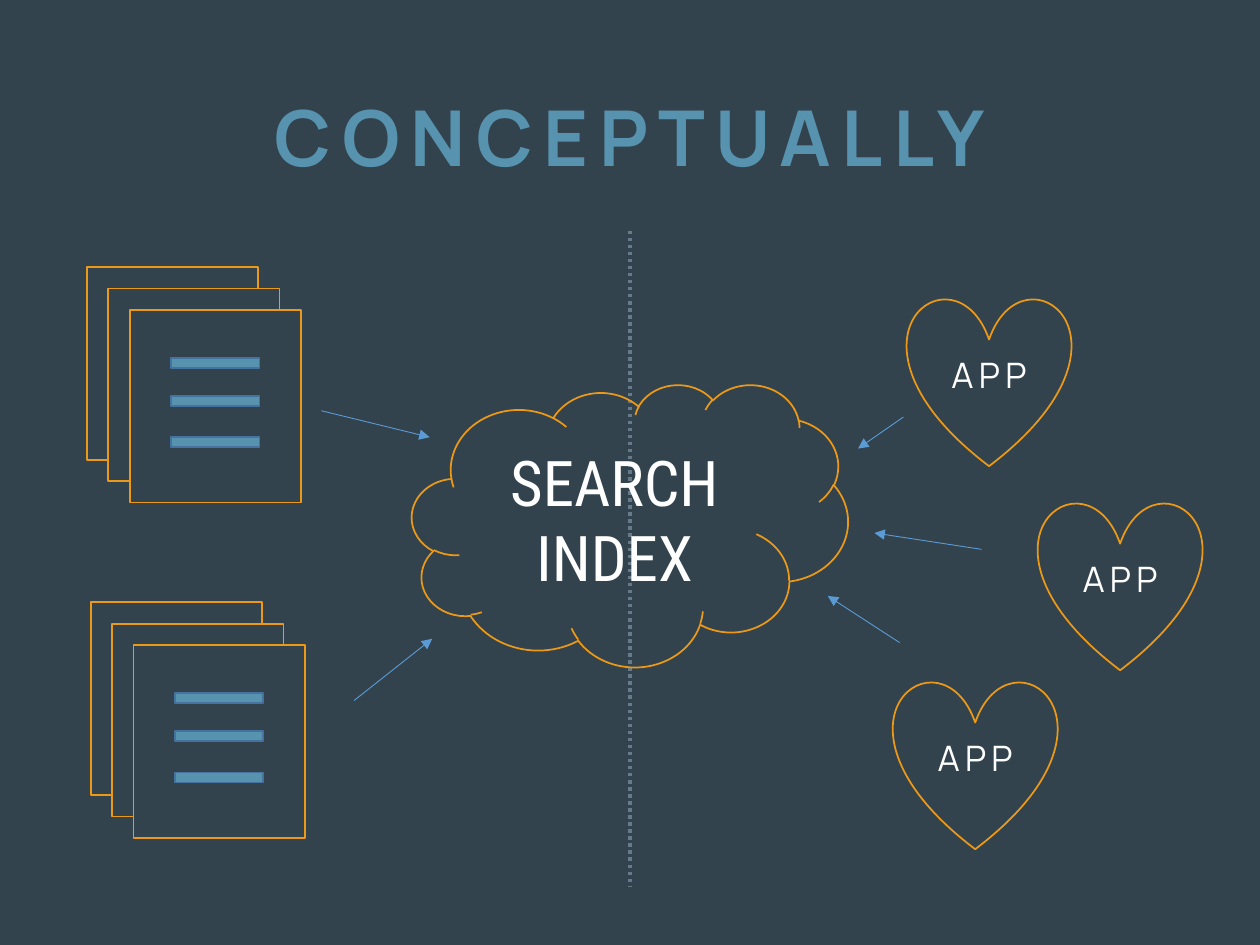
from lxml import etree
from pptx import Presentation
from pptx.dml.color import RGBColor
from pptx.enum.dml import MSO_LINE
from pptx.enum.shapes import MSO_CONNECTOR, MSO_SHAPE
from pptx.enum.text import MSO_ANCHOR, PP_ALIGN
from pptx.oxml.ns import qn
from pptx.util import Inches, Pt

STRAIGHT = MSO_CONNECTOR.STRAIGHT
DOTTED = MSO_LINE.ROUND_DOT
RECTANGLE, CLOUD, HEART = MSO_SHAPE.RECTANGLE, MSO_SHAPE.CLOUD, MSO_SHAPE.HEART
MIDDLE, CENTER = MSO_ANCHOR.MIDDLE, PP_ALIGN.CENTER

BACKGROUND = RGBColor(0x32, 0x43, 0x4E)
TEAL = RGBColor(0x57, 0x92, 0xAE)
TEAL_EDGE = RGBColor(0x43, 0x73, 0x9E)
ORANGE = RGBColor(0xEC, 0x99, 0x17)
GRAY = RGBColor(0x66, 0x7A, 0x89)
BLUE = RGBColor(0x5B, 0x9B, 0xD5)
WHITE = RGBColor(0xFF, 0xFF, 0xFF)

PAGE_STEP = 0.17
TEXT_LINES = [(0.67, 0.72), (0.67, 1.02), (0.67, 1.35)]
STACKS = [(0.69, 2.12), (0.72, 4.78)]
HEARTS = [(7.2, 2.36), (8.24, 3.98), (7.09, 5.4)]
ARROWS = [
    ((2.81, 5.56), (3.43, 5.07)),
    ((2.55, 3.26), (3.41, 3.47)),
    ((7.14, 5.1), (6.57, 4.73)),
    ((7.79, 4.36), (6.94, 4.23)),
    ((7.17, 3.31), (6.81, 3.56)),
]


def set_text(shape, text, font_name, size, color, bold=False, spacing=0):
    """Write one centred line; spacing is the gap between letters in points."""
    frame = shape.text_frame
    frame.text = text
    frame.vertical_anchor = MIDDLE
    paragraph = frame.paragraphs[0]
    paragraph.alignment = CENTER
    run = paragraph.runs[0]
    run.font.name = font_name
    run.font.size = Pt(size)
    run.font.bold = bold
    run.font.color.rgb = color
    if spacing:
        run._r.get_or_add_rPr().set("spc", str(spacing * 100))


def add_title(slide, text):
    title = slide.shapes.title
    title.left, title.top = Inches(0.69), Inches(0.4)
    title.width, title.height = Inches(8.62), Inches(1.45)
    set_text(title, text, "Manrope", 44, TEAL, bold=True, spacing=6)
    title.text_frame.paragraphs[0].line_spacing = 0.9


def add_outlined_shape(shapes, kind, left, top, width, height,
                       fill=BACKGROUND, line=ORANGE):
    shape = shapes.add_shape(kind, Inches(left), Inches(top),
                             Inches(width), Inches(height))
    shape.shadow.inherit = False
    if fill is None:
        shape.fill.background()
    else:
        shape.fill.solid()
        shape.fill.fore_color.rgb = fill
    shape.line.color.rgb = line
    shape.line.width = Pt(1)
    return shape


def add_line(slide, start, end, color, width):
    line = slide.shapes.add_connector(
        STRAIGHT, *(Inches(value) for value in (*start, *end)))
    line.line.color.rgb = color
    line.line.width = Pt(width)
    etree.SubElement(line._element.spPr, qn("a:effectLst"))
    return line


def add_arrow(slide, start, end):
    arrow = add_line(slide, start, end, BLUE, 0.5)
    etree.SubElement(arrow.line._get_or_add_ln(), qn("a:tailEnd"),
                     type="triangle")


def add_document_stack(slide, left, top):
    """Group three overlapping pages, with lines of text on the front one."""
    shapes = slide.shapes.add_group_shape().shapes
    for page in range(3):
        offset = page * PAGE_STEP
        add_outlined_shape(shapes, RECTANGLE, left + offset, top + offset,
                           1.36, 1.53)
    for across, down in TEXT_LINES:
        add_outlined_shape(shapes, RECTANGLE, left + across, top + down,
                           0.7, 0.08, TEAL, TEAL_EDGE)


def add_app_heart(slide, left, top):
    heart = add_outlined_shape(slide.shapes, HEART, left, top, 1.3, 1.34)
    set_text(heart, "APP", "Manrope", 20, WHITE, spacing=3)
    heart.text_frame.word_wrap = False


def main():
    presentation = Presentation()
    presentation.slide_width = Inches(10)
    presentation.slide_height = Inches(7.5)
    slide = presentation.slides.add_slide(presentation.slide_layouts[5])
    slide.background.fill.solid()
    slide.background.fill.fore_color.rgb = BACKGROUND

    divider = add_line(slide, (5, 1.83), (5, 7.04), GRAY, 2)
    divider.line.dash_style = DOTTED
    add_title(slide, "CONCEPTUALLY")

    cloud = add_outlined_shape(slide.shapes, CLOUD, 3.27, 3.05, 3.46, 2.24,
                               fill=None)
    set_text(cloud, "SEARCH INDEX", "Roboto Condensed", 36, WHITE)
    cloud.text_frame.word_wrap = True

    for left, top in STACKS:
        add_document_stack(slide, left, top)
    for left, top in HEARTS:
        add_app_heart(slide, left, top)
    for start, end in ARROWS:
        add_arrow(slide, start, end)

    presentation.save("out.pptx")


if __name__ == "__main__":
    main()
